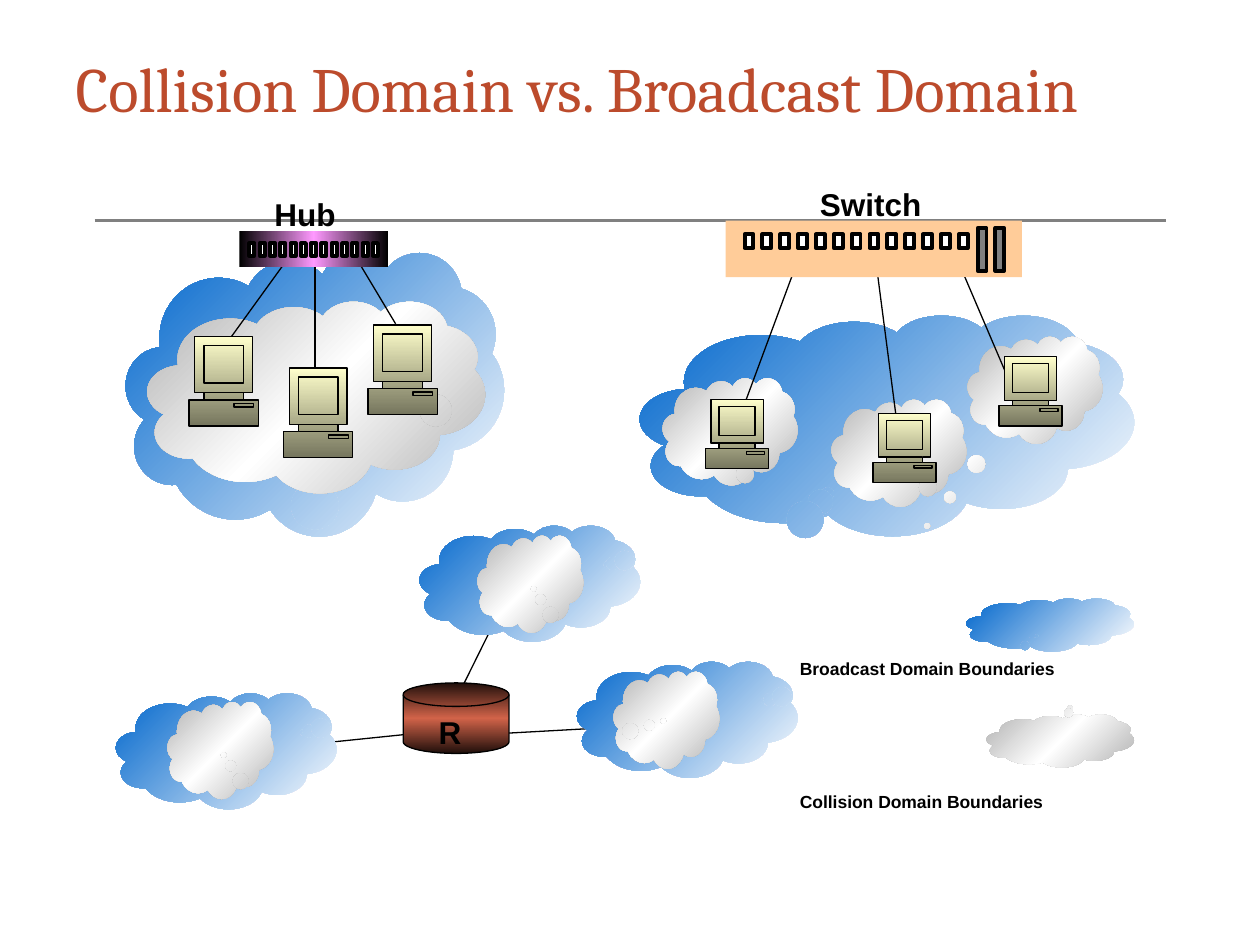
from copy import deepcopy

from lxml import etree
from pptx import Presentation
from pptx.dml.color import RGBColor
from pptx.enum.shapes import MSO_CONNECTOR, MSO_SHAPE
from pptx.enum.text import MSO_ANCHOR, MSO_AUTO_SIZE, PP_ALIGN
from pptx.oxml.ns import qn
from pptx.util import Inches, Pt

RECT = MSO_SHAPE.RECTANGLE
CLOUD = MSO_SHAPE.CLOUD_CALLOUT
DISK = MSO_SHAPE.FLOWCHART_MAGNETIC_DISK
STRAIGHT = MSO_CONNECTOR.STRAIGHT
LEFT, RIGHT = PP_ALIGN.LEFT, PP_ALIGN.RIGHT
TOP = MSO_ANCHOR.TOP
GROW, FIXED = MSO_AUTO_SIZE.SHAPE_TO_FIT_TEXT, MSO_AUTO_SIZE.NONE

COLORS = {
    "title": "BC4B2C", "black": "000000", "white": "FFFFFF", "gray": "808080",
    "blue": "0066CC", "silver": "B2B2B2", "pink": "FF99FF", "peach": "FFCC99",
    "cream": "FFFFCC", "olive": "76765E", "rust": "D16349", "dark_rust": "200F0B",
}
BROADCAST = (["white", "blue"], 135)
COLLISION = (["silver", "white", "silver"], 135)
COMPUTER = (["cream", "olive"], 270)
HUB = (["black", "pink", "black"], 180)
ROUTER = (["dark_rust", "rust", "dark_rust"], 270)

PORT_COUNT = 13
SMALL_CLOUD = (1.75, 0.92)
SMALL_CLOUD_TAIL = (0.35, -0.16)

# Computer outline in thousandths of its width and height
CASE = [(785, 710), (785, 630), (915, 630), (915, 0), (85, 0), (85, 630),
        (215, 630), (215, 710), (0, 710), (0, 1000), (1000, 1000), (1000, 710)]
NECK = [(215, 710), (215, 630), (785, 630), (785, 710)]
SCREEN = [(215, 520), (215, 100), (785, 100), (785, 520)]
DRIVE = [(650, 790), (650, 750), (935, 750), (935, 790)]


def rgb(name):
    return RGBColor.from_string(COLORS[name])


def paint(shape, fill, line=None):
    """Fill with a colour name or a (colour names, angle) gradient."""
    shape.shadow.inherit = False
    if isinstance(fill, str):
        shape.fill.solid()
        shape.fill.fore_color.rgb = rgb(fill)
    else:
        names, angle = fill
        shape.fill.gradient()
        shape.fill.gradient_angle = angle
        stop_list = shape._element.spPr.find(qn("a:gradFill")).find(qn("a:gsLst"))
        while len(stop_list) < len(names):
            stop_list.append(deepcopy(stop_list[0]))
        for index, stop in enumerate(shape.fill.gradient_stops):
            stop.color.rgb = rgb(names[index])
            stop.position = index / (len(names) - 1)
    if line:
        shape.line.color.rgb = rgb("black")
        shape.line.width = Pt(line)
    else:
        shape.line.fill.background()


def add_block(parent, kind, left, top, width, height, fill, line=None):
    shape = parent.shapes.add_shape(
        kind, Inches(left), Inches(top), Inches(width), Inches(height))
    paint(shape, fill, line)
    return shape


def add_cloud(page, left, top, size, tail, fill):
    cloud = add_block(page, CLOUD, left, top, *size, fill)
    cloud.adjustments[0], cloud.adjustments[1] = tail


def add_line(page, start, end, color="black", width=0.75):
    line = page.shapes.add_connector(
        STRAIGHT, *(Inches(value) for value in (*start, *end)))
    line.line.color.rgb = rgb(color)
    line.line.width = Pt(width)
    etree.SubElement(line._element.spPr, qn("a:effectLst"))


def add_computer(page, left, top, width, height):
    builder = page.shapes.build_freeform(
        *CASE[0], scale=(Inches(width) / 1000, Inches(height) / 1000))
    builder.add_line_segments(CASE[1:], close=True)
    for contour in (NECK, SCREEN, DRIVE):
        builder.move_to(*contour[0])
        builder.add_line_segments(contour[1:], close=True)
    computer = builder.convert_to_shape(Inches(left), Inches(top))
    # Give case, neck and screen their own paths so that each is filled
    path = next(computer._element.iter(qn("a:path")))
    target, moves = path, 0
    for step in list(path):
        if step.tag == qn("a:moveTo"):
            moves += 1
            if moves in (2, 3):
                part = etree.SubElement(path.getparent(), qn("a:path"))
                for key in ("w", "h"):
                    part.set(key, path.get(key))
                target = part
        target.append(step)
    paint(computer, COMPUTER, 0.75)


def add_ports(group, left, top, width, height, pitch):
    for index in range(PORT_COUNT):
        add_block(group, RECT, left + index * pitch, top, width, height, "white", 2.25)


def write(box, text, size, font="Arial", color="black", bold=True,
          align=LEFT, wrap=True, auto_size=GROW):
    frame = box.text_frame
    frame.word_wrap = wrap
    frame.auto_size = auto_size
    frame.vertical_anchor = TOP
    para = frame.paragraphs[0]
    para.alignment = align
    span = para.add_run()
    span.text = text
    span.font.name = font
    span.font.size = Pt(size)
    span.font.bold = bold
    span.font.color.rgb = rgb(color)


def add_label(parent, left, top, width, height, text, size, **style):
    box = parent.shapes.add_textbox(
        Inches(left), Inches(top), Inches(width), Inches(height))
    write(box, text, size, **style)


def add_title(page, text):
    title = page.shapes.title
    title.left, title.top = Inches(0.5), Inches(0.34)
    title.width, title.height = Inches(9.17), Inches(1.3)
    write(title, text, 36, font="Cambria", color="title", bold=False, auto_size=FIXED)


def main():
    deck = Presentation()
    deck.slide_width, deck.slide_height = Inches(10), Inches(7.5)
    page = deck.slides.add_slide(deck.slide_layouts[5])
    add_title(page, "Collision Domain vs. Broadcast Domain")
    add_line(page, (0.75, 1.75), (9.25, 1.75), "gray", 2)

    # Router links
    for start, end in (((5.27, 5.75), (4.01, 5.82)), ((4.14, 4.5), (3.65, 5.49)),
                       ((3.31, 5.82), (1.75, 5.98))):
        add_line(page, start, end)

    # Domains of the switch and the hub
    add_cloud(page, 5.08, 2.5, (3.92, 1.75), (-0.12, 0.31), BROADCAST)
    for left, top, tail in ((7.68, 2.67, (-0.8, 1.27)), (6.6, 3.17, (0.06, 0.09)),
                            (5.26, 3, (0.05, 0.18))):
        add_cloud(page, left, top, (1.07, 0.85), tail, COLLISION)
    add_cloud(page, 1, 2, (3, 2.25), (0, 0.13), BROADCAST)
    add_cloud(page, 1.17, 2.39, (2.68, 1.52), (0.05, 0.01), COLLISION)

    # Hub with its computers
    for start, end in (((2.5, 3.42), (2.5, 1.92)), ((3.14, 2.57), (2.75, 1.92)),
                       ((1.78, 2.75), (2.25, 2.1))):
        add_line(page, start, end)
    hub = page.shapes.add_group_shape()
    add_block(hub, RECT, 1.9, 1.83, 1.18, 0.29, HUB)
    add_ports(hub, 1.98, 1.93, 0.04, 0.1, 0.98 / 12)
    for left, top in ((1.5, 2.67), (2.25, 2.92), (2.92, 2.58)):
        add_computer(page, left, top, 0.55, 0.71)

    # Switch with its computers
    for start, end in (((8, 3), (7.5, 1.83)), ((7.17, 3.75), (6.92, 1.83)),
                       ((5.83, 3.42), (6.42, 1.83))):
        add_line(page, start, end)
    for left, top in ((5.6, 3.17), (6.93, 3.28), (7.93, 2.83)):
        add_computer(page, left, top, 0.5, 0.55)
    switch = page.shapes.add_group_shape()
    add_block(switch, RECT, 5.76, 1.75, 2.35, 0.45, "peach")
    add_ports(switch, 5.91, 1.86, 0.07, 0.11, 1.7 / 12)
    for left in (7.76, 7.9):
        add_block(switch, RECT, left, 1.81, 0.07, 0.34, "gray", 2.25)

    # Domains around the router
    for left, top in ((3.33, 4.17), (4.58, 5.25), (0.92, 5.5)):
        add_cloud(page, left, top, SMALL_CLOUD, SMALL_CLOUD_TAIL, BROADCAST)
    for left, top, tail in ((4.87, 5.33, (-0.03, 0.01)), (3.79, 4.25, (0.03, 0.05)),
                            (1.33, 5.57, (0.03, 0.05))):
        add_cloud(page, left, top, (0.84, 0.77), tail, COLLISION)
    router = page.shapes.add_group_shape()
    add_block(router, DISK, 3.2, 5.42, 0.84, 0.56, ROUTER, 0.75)
    add_label(router, 3.34, 5.61, 0.42, 0.4, "R", 18, align=RIGHT)

    # Legend and device names
    add_cloud(page, 7.67, 4.75, (1.33, 0.42), (-0.08, 0.21), BROADCAST)
    add_cloud(page, 7.83, 5.67, (1.17, 0.42), (0.07, -0.65), COLLISION)
    add_label(page, 6.25, 5.17, 4.17, 0.27, "Broadcast Domain Boundaries", 10)
    add_label(page, 6.25, 6.23, 4.17, 0.27, "Collision Domain Boundaries", 10)
    add_label(page, 2.08, 1.5, 0.72, 0.4, "Hub", 18, wrap=False)
    add_label(page, 6.41, 1.42, 1.04, 0.4, "Switch", 18, wrap=False)

    deck.save("out.pptx")


if __name__ == "__main__":
    main()
